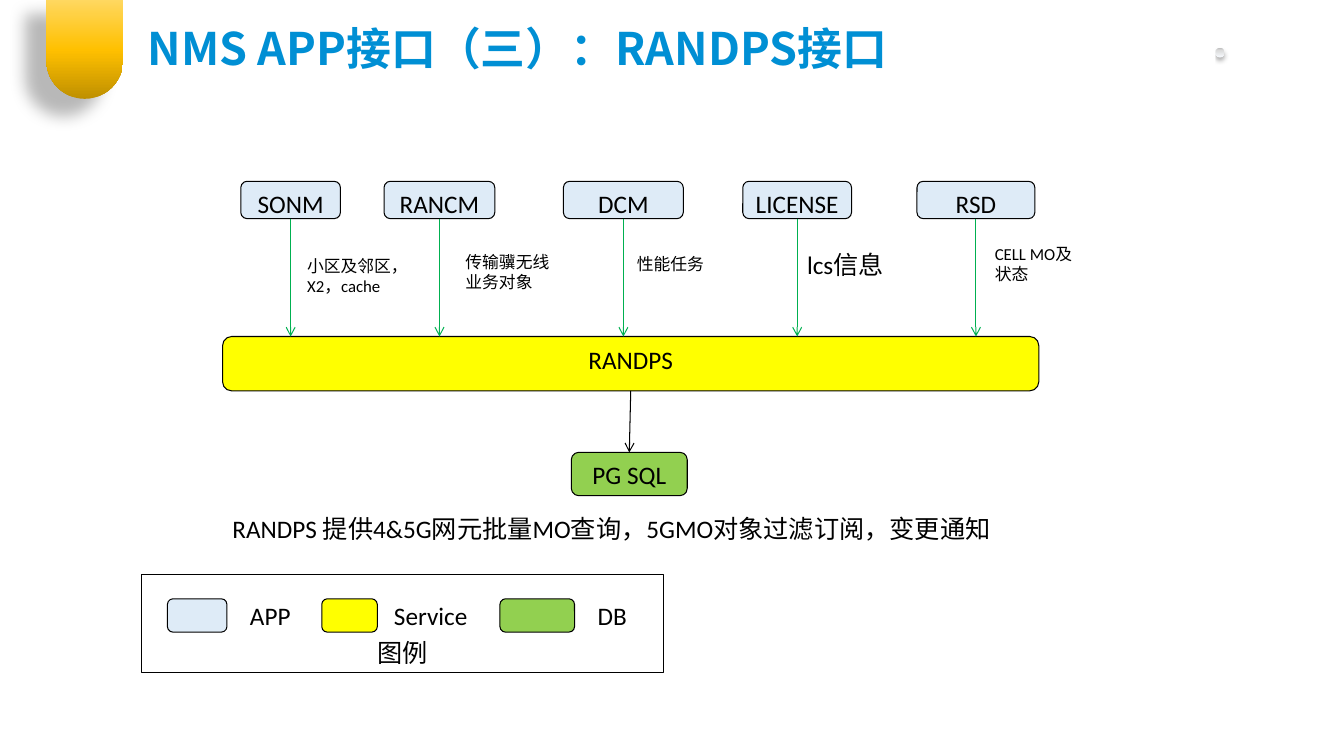
from lxml.etree import SubElement
from pptx import Presentation
from pptx.dml.color import RGBColor
from pptx.enum.shapes import MSO_CONNECTOR as Connector, MSO_SHAPE as Shape
from pptx.enum.text import MSO_ANCHOR as Anchor, PP_ALIGN as Align
from pptx.oxml.ns import qn
from pptx.util import Cm, Pt

CJK_FONT = "Noto Sans CJK SC"
BLACK, WHITE, GREEN = "000000", "FFFFFF", "00B050"
APP, SERVICE, DATABASE = "DEEBF7", "FFFF00", "92D050"


def color(value):
    """Turn a hex string into a colour."""
    return RGBColor.from_string(value)


def write(shape, text, align=Align.LEFT, anchor=Anchor.TOP, hue=BLACK, **formats):
    """Put one formatted paragraph into a shape."""
    frame = shape.text_frame
    frame.word_wrap, frame.vertical_anchor = True, anchor
    paragraph = frame.paragraphs[0]
    paragraph.alignment = align
    run = paragraph.add_run()
    run.text = text
    for name, value in {"name": "Calibri", "size": Pt(18), **formats}.items():
        setattr(run.font, name, value)
    run.font.color.rgb = color(hue)
    SubElement(run._r.get_or_add_rPr(), qn("a:ea"), typeface=CJK_FONT)


def add_label(slide, box, text, **formats):
    """Add a text box."""
    write(slide.shapes.add_textbox(*map(Cm, box)), text, **formats)


def add_block(slide, box, fill, text="", kind=Shape.ROUNDED_RECTANGLE, outlined=True, **formats):
    """Add a filled block, with its text if there is any."""
    shape = slide.shapes.add_shape(kind, *map(Cm, box))
    shape.shadow.inherit = False
    shape.fill.solid()
    shape.fill.fore_color.rgb = color(fill)
    if outlined:
        shape.line.color.rgb = color(BLACK)
        shape.line.width = Pt(0.75)
    else:
        shape.line.fill.background()
    if text:
        write(shape, text, **{"align": Align.CENTER, **formats})
    return shape


def add_arrow(slide, source, target, hue, joined=False):
    """Draw an arrow from the bottom of one block down to the top of another."""
    middle = source.left + source.width // 2
    arrow = slide.shapes.add_connector(
        Connector.STRAIGHT, middle, source.top + source.height, middle, target.top)
    arrow.begin_connect(source, 2)
    if joined:
        arrow.end_connect(target, 0)
    arrow.line.color.rgb = color(hue)
    arrow.line.width = Pt(0.75)
    SubElement(arrow.line._get_or_add_ln(), qn("a:tailEnd"), type="arrow")
    SubElement(arrow._element.spPr, qn("a:effectLst"))


def add_ornament(slide, kind, box, stops, opacity, blur, distance, direction):
    """Add an upside-down shape with a gradient and a soft shadow."""
    shape = slide.shapes.add_shape(kind, *map(Cm, box))
    shape.rotation = 180
    shape.line.fill.background()
    shape.fill.gradient()
    shape.fill.gradient_angle = 270
    properties = shape._element.spPr
    stop_list = properties.find(".//" + qn("a:gsLst"))
    for stop in list(stop_list):
        stop_list.remove(stop)
    for position, hue in stops:
        stop = SubElement(stop_list, qn("a:gs"), pos=str(position * 1000))
        SubElement(stop, qn("a:srgbClr"), val=hue)
    shape.shadow.inherit = False
    shadow = SubElement(
        properties.find(qn("a:effectLst")), qn("a:outerShdw"), blurRad=str(Pt(blur)),
        dist=str(Pt(distance)), dir=str(direction * 60000), rotWithShape="0")
    tint = SubElement(shadow, qn("a:srgbClr"), val=BLACK)
    SubElement(tint, qn("a:alpha"), val=str(opacity * 1000))
    return shape


def add_header(slide, left, top, width, height):
    """Add the title with the yellow tab before it and the bead after it."""
    add_ornament(slide, Shape.OVAL, (left + width, top + 0.99, 0.23, 0.23),
                 [(0, "F7FAFD"), (83, "D9D9D9"), (100, "BFBFBF")], 32, 3.5, 2.2, 90)
    add_block(slide, (left, top, width, height), WHITE, "NMS APP接口（三）：RANDPS接口",
              Shape.RECTANGLE, outlined=False, align=Align.LEFT, anchor=Anchor.MIDDLE,
              hue="008FD4", name=CJK_FONT, size=Pt(32), bold=True)
    tab = add_ornament(slide, Shape.ROUND_2_SAME_RECTANGLE, (left - 2.31, top - 0.31, 1.93, 2.57),
                       [(0, "BF9000"), (48, "FFC000"), (100, "FFD966")], 28, 11.8, 19.7, 141)
    tab.adjustments[0] = 0.5


def add_diagram(slide, left, top, width):
    """Add the apps, the service they feed, its database and the caption."""
    service = add_block(slide, (left, top + 3.91, width, 1.37), SERVICE, "RANDPS")
    database = add_block(slide, (left + 8.79, top + 6.83, 2.92, 1.09), DATABASE, "PG SQL")
    add_arrow(slide, service, database, BLACK, joined=True)
    apps = [
        ("SONM", 0.46, 2.51, "小区及邻区，X2，cache", 1.88, 1.75, 3.05, 12),
        ("RANCM", 4.07, 2.79, "传输骥无线业务对象", 5.87, 1.65, 2.72, 12),
        ("DCM", 8.59, 3.02, "性能任务", 10.19, 1.7, 2.36, 12),
        ("LICENSE", 13.11, 2.74, "lcs信息", 14.48, 1.58, 2.74, 18),
        ("RSD", 17.5, 2.97, "CELL MO及状态", 19.21, 1.45, 2.67, 12),
    ]
    for name, x, app_width, note, note_x, note_y, note_width, size in apps:
        app = add_block(slide, (left + x, top, app_width, 0.94), APP, name)
        add_arrow(slide, app, service, GREEN)
        add_label(slide, (left + note_x, top + note_y, note_width, 1.27), note, size=Pt(size))
    add_label(slide, (left, top + 8.23, width, 1.02),
              "RANDPS 提供4&5G网元批量MO查询，5GMO对象过滤订阅，变更通知")


def add_legend(slide, left, top, width, height):
    """Add the framed key to the block colours."""
    add_block(slide, (left, top, width, height), WHITE, "图例", Shape.RECTANGLE, anchor=Anchor.BOTTOM)
    entries = [
        ("APP", APP, 0.66, 1.5, 2.49, 2.06),
        ("Service", SERVICE, 4.55, 1.4, 6.12, 3.23),
        ("DB", DATABASE, 9.04, 1.88, 11.25, 1.88),
    ]
    for name, fill, x, swatch_width, name_x, name_width in entries:
        add_block(slide, (left + x, top + 0.61, swatch_width, 0.84), fill)
        add_label(slide, (left + name_x, top + 0.53, name_width, 1.02), name)


def main():
    """Build the slide and save it."""
    presentation = Presentation()
    presentation.slide_width, presentation.slide_height = Cm(33.87), Cm(19.05)
    slide = presentation.slides.add_slide(presentation.slide_layouts[6])
    add_header(slide, 3.48, 0.23, 27.15, 1.96)
    add_diagram(slide, 5.61, 4.57, 20.57)
    add_legend(slide, 3.56, 14.48, 13.16, 2.46)
    presentation.save("out.pptx")


if __name__ == "__main__":
    main()
